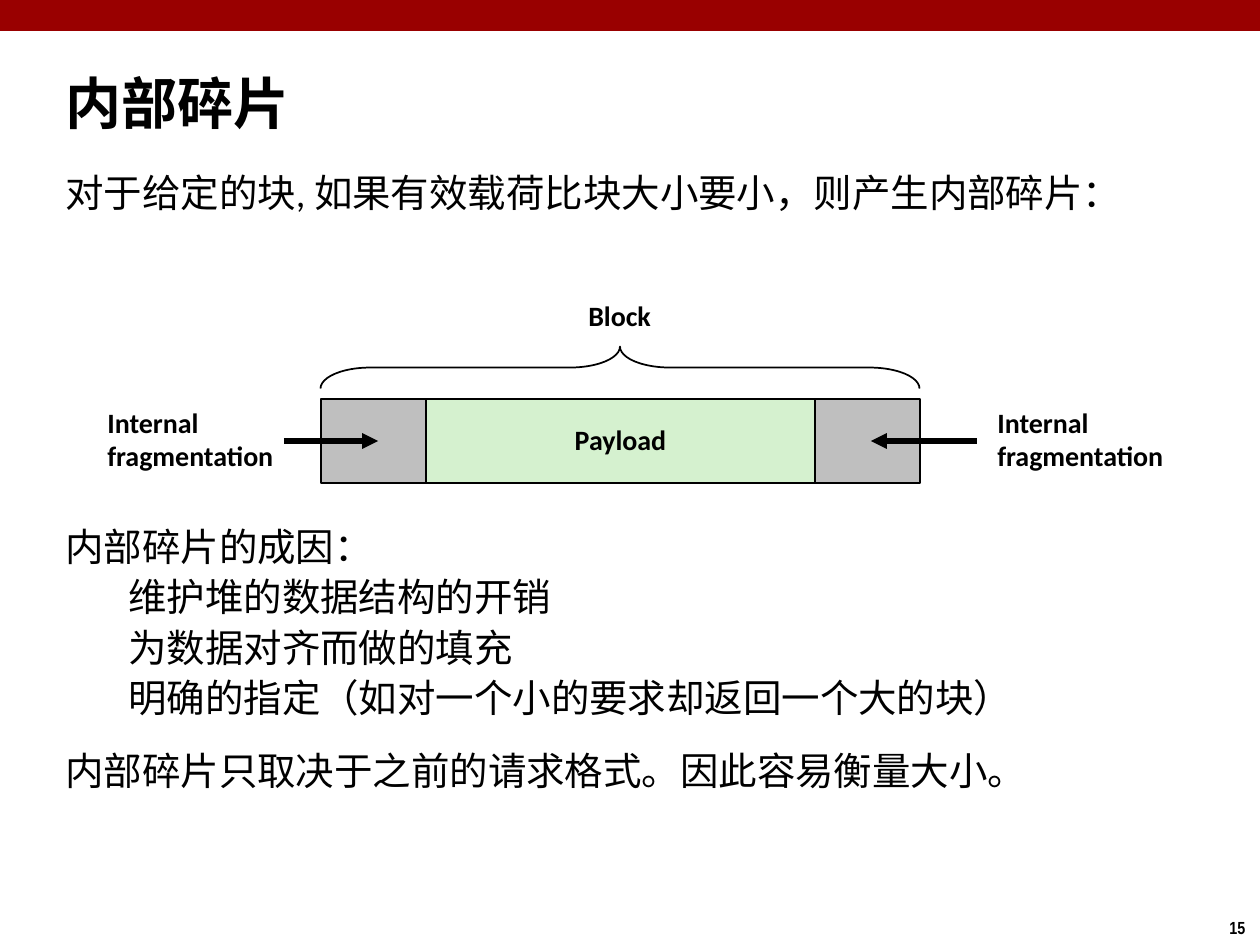
from lxml.etree import SubElement
from pptx import Presentation
from pptx.dml.color import RGBColor
from pptx.enum.shapes import MSO_CONNECTOR, MSO_SHAPE
from pptx.enum.text import MSO_ANCHOR, PP_ALIGN
from pptx.oxml.ns import qn
from pptx.util import Emu, Pt

SCALE = 914400 / 126
BLACK = RGBColor(0x00, 0x00, 0x00)
RED = RGBColor(0x99, 0x00, 0x00)
GREEN = RGBColor(0xD5, 0xF1, 0xCF)
GRAY = RGBColor(0xBF, 0xBF, 0xBF)

TITLE = {"name": "Calibri", "size": Pt(32), "bold": True}
BODY = {"name": "Calibri", "size": Pt(22), "bold": False}
LABEL = {"name": "Calibri", "size": Pt(16), "bold": True}
NUMBER = {"name": "Arial Narrow", "size": Pt(10), "bold": True}
BODY_LINE = {"line_spacing": 0.88, "space_before": Pt(5.6)}
LABEL_LINE = {"line_spacing": 0.98}


def pixels(*lengths):
    """Turn pixel lengths into EMU."""
    return [Emu(round(length * SCALE)) for length in lengths]


def apply(target, values):
    """Set each attribute of a format dict."""
    for name, value in values.items():
        setattr(target, name, value)


def write(shape, lines, font, layout, wrap=True, anchor=MSO_ANCHOR.TOP):
    """Fill a shape with (text, extra paragraph format) lines."""
    frame = shape.text_frame
    apply(frame, {"word_wrap": wrap, "vertical_anchor": anchor})
    for index, (text, extra) in enumerate(lines):
        paragraph = frame.paragraphs[0] if index == 0 else frame.add_paragraph()
        apply(paragraph, {"alignment": PP_ALIGN.LEFT, **layout, **extra})
        run = paragraph.add_run()
        run.text = text
        apply(run.font, font)
        run.font.color.rgb = BLACK


def add_text(slide, box, lines, font, layout, **frame):
    """Add a text box."""
    write(slide.shapes.add_textbox(*pixels(*box)), lines, font, layout, **frame)


def add_box(slide, box, fill, line=BLACK, preset=MSO_SHAPE.RECTANGLE):
    """Add a preset shape with a plain fill and a thin line."""
    shape = slide.shapes.add_shape(preset, *pixels(*box))
    shape.shadow.inherit = False
    if fill is None:
        shape.fill.background()
    else:
        shape.fill.solid()
        shape.fill.fore_color.rgb = fill
    if line is None:
        shape.line.fill.background()
    else:
        shape.line.color.rgb = line
        shape.line.width = Pt(1)
    return shape


def add_arrow(slide, start, end, y):
    """Add a thick horizontal arrow."""
    arrow = slide.shapes.add_connector(MSO_CONNECTOR.STRAIGHT, *pixels(start, y, end, y))
    arrow.line.color.rgb = BLACK
    arrow.line.width = Pt(3)
    SubElement(arrow.line._get_or_add_ln(), qn("a:tailEnd"), type="triangle")
    SubElement(arrow._element.spPr, qn("a:effectLst"))


def add_frame(slide, width, height):
    """Draw the top bar and the slide number."""
    add_box(slide, (0, 0, width, 31), RED, None)
    add_text(slide, (width - 43, height - 34, 43, 34), [("15", {})], NUMBER, {}, wrap=False)


def add_copy(slide, left, top, width, height):
    """Place the title and the body text, leaving room for the diagram."""
    add_text(slide, (left, top, 927, 79), [("内部碎片", {})], TITLE, {},
             anchor=MSO_ANCHOR.MIDDLE)
    causes = ["维护堆的数据结构的开销", "为数据对齐而做的填充",
              "明确的指定（如对一个小的要求却返回一个大的块）"]
    lines = [("对于给定的块, 如果有效载荷比块大小要小，则产生内部碎片：", {}),
             ("内部碎片的成因：", {"space_before": Pt(179)}),
             *[(cause, {"level": 1}) for cause in causes],
             ("内部碎片只取决于之前的请求格式。因此容易衡量大小。", {"space_before": Pt(18)})]
    body = slide.shapes.add_textbox(*pixels(left, top + 106, width, height - 106))
    write(body, lines, BODY, BODY_LINE)
    for paragraph in body.text_frame.paragraphs:
        if paragraph.level:
            paragraph._p.get_or_add_pPr().set("marL", str(pixels(63)[0]))


def add_block_diagram(slide, left, top, width, height):
    """Draw a block with its payload, both fragments, the brace and labels."""
    padding = 105
    payload = add_box(slide, (left + padding, top, width - 2 * padding, height), GREEN)
    write(payload, [("Payload", {"alignment": PP_ALIGN.CENTER})], LABEL, LABEL_LINE,
          wrap=False, anchor=MSO_ANCHOR.MIDDLE)
    right = left + width
    sides = [(left, left - 226, left - 37, left + 57),
             (right - padding, right + 65, right + 57, right - 49)]
    for fragment, label, start, end in sides:
        add_box(slide, (fragment, top, padding, height), GRAY)
        add_text(slide, (label, top + 2, 193, 79),
                 [("Internal ", {}), ("fragmentation", {})], LABEL, LABEL_LINE, wrap=False)
        add_arrow(slide, start, end, top + height // 2)
    middle, depth = left + width // 2, 42
    brace = add_box(slide, (middle - depth // 2, top - 32 - width // 2, depth, width),
                    None, preset=MSO_SHAPE.RIGHT_BRACE)
    brace.rotation = 270
    brace.adjustments[0] = 1.19
    add_text(slide, (middle - 44, top - 105, 88, 47), [("Block", {})], LABEL, LABEL_LINE,
             wrap=False)


def main():
    """Build the slide and save it."""
    presentation = Presentation()
    width, height = 1260, 945
    presentation.slide_width, presentation.slide_height = pixels(width, height)
    slide = presentation.slides.add_slide(presentation.slide_layouts[6])
    add_frame(slide, width, height)
    add_copy(slide, 53, 63, 1145, 851)
    add_block_diagram(slide, 321, 399, 599, 84)
    presentation.save("out.pptx")


main()
